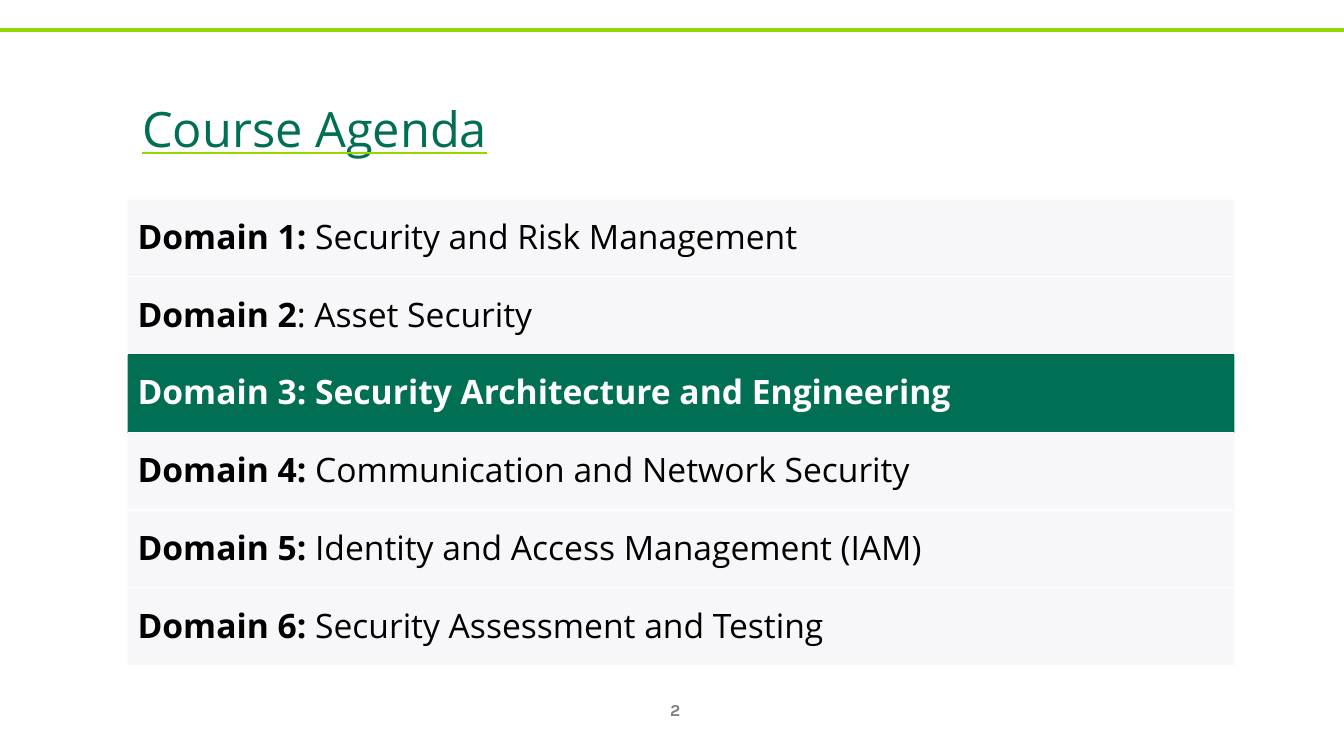
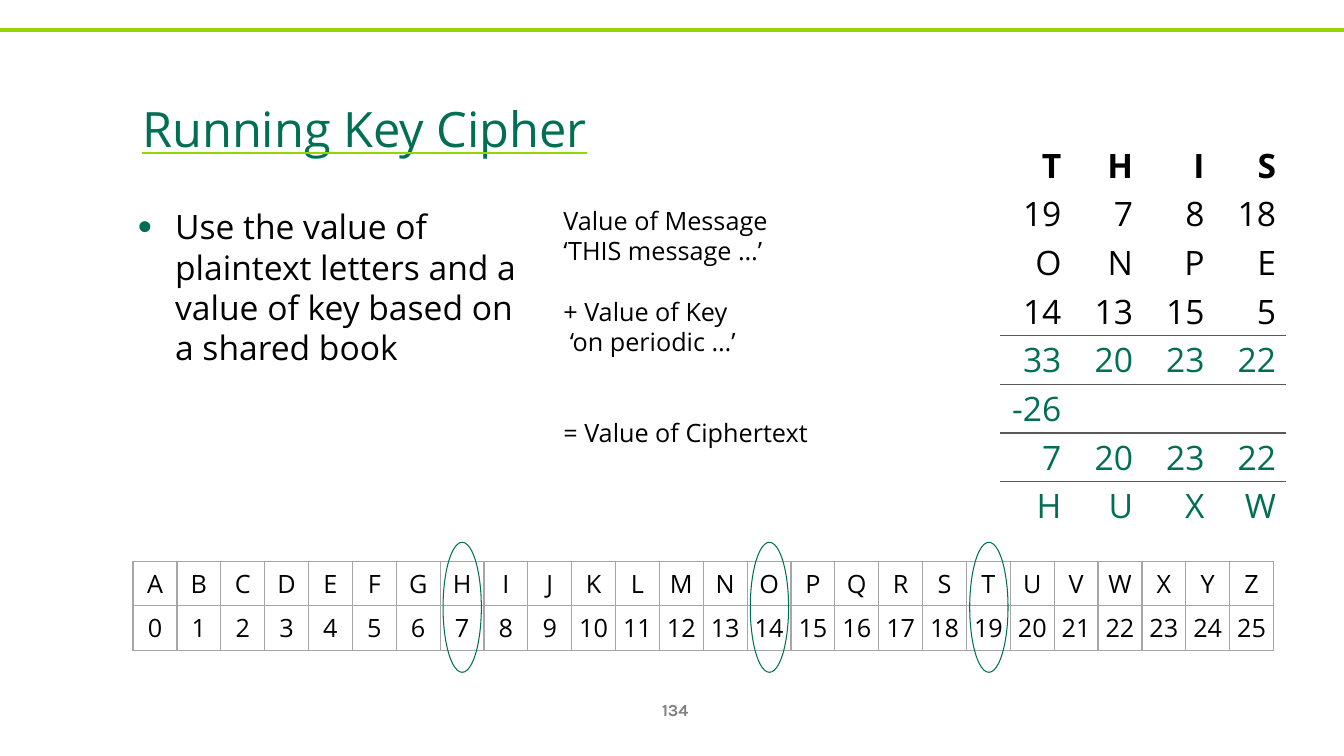
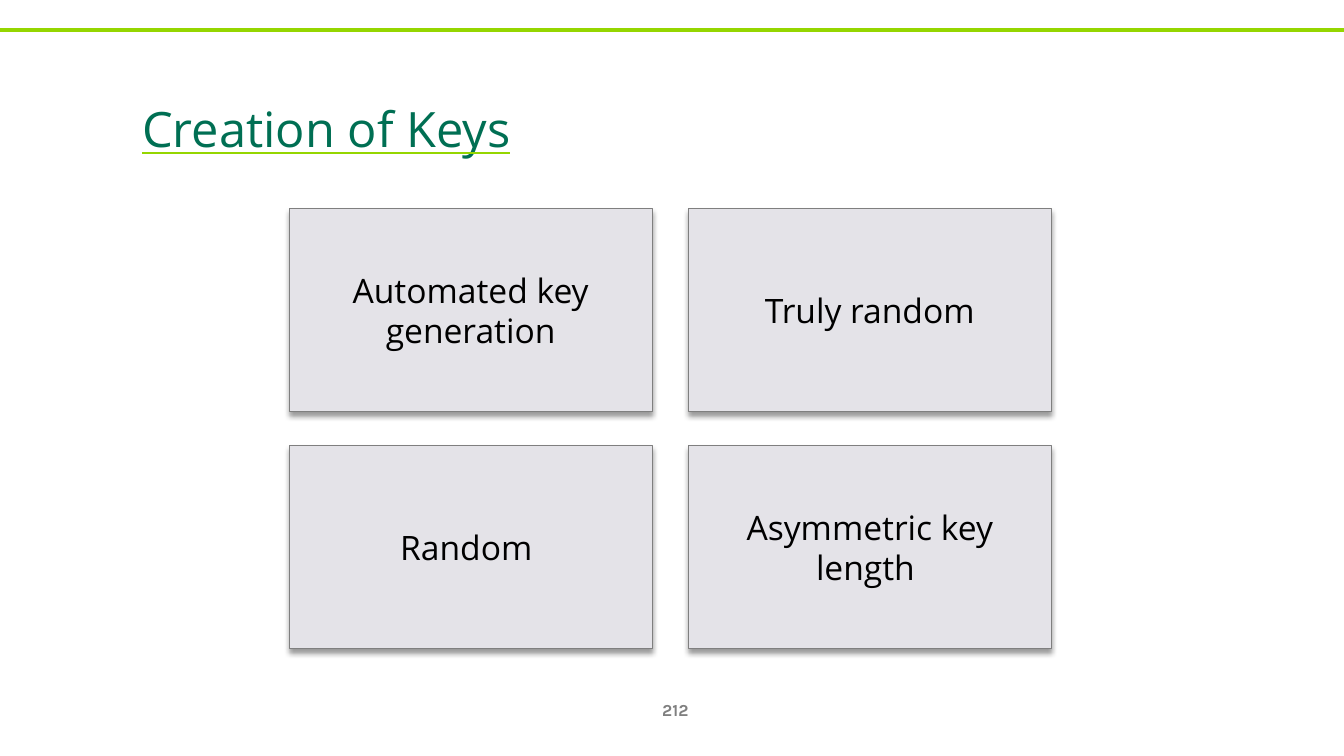
from dataclasses import dataclass
from typing import Any

from lxml import etree
from pptx import Presentation
from pptx.dml.color import RGBColor
from pptx.enum.shapes import MSO_CONNECTOR, MSO_SHAPE
from pptx.enum.text import MSO_ANCHOR, MSO_AUTO_SIZE, PP_ALIGN
from pptx.oxml.ns import qn
from pptx.util import Inches, Pt

STRAIGHT = MSO_CONNECTOR.STRAIGHT
RECTANGLE, OVAL = MSO_SHAPE.RECTANGLE, MSO_SHAPE.OVAL
TOP, MIDDLE = MSO_ANCHOR.TOP, MSO_ANCHOR.MIDDLE
LEFT, CENTER, RIGHT = PP_ALIGN.LEFT, PP_ALIGN.CENTER, PP_ALIGN.RIGHT
NO_AUTOFIT = MSO_AUTO_SIZE.NONE

# Shared style
SLIDE_WIDTH, SLIDE_HEIGHT = Inches(13.33), Inches(7.5)
COLORS = {
    "black": "000000", "white": "FFFFFF", "green": "006F53",
    "dark green": "00654B", "lime": "95D600", "page": "808080",
    "row": "F7F7F9", "card": "E4E3E8", "card line": "7F7F7F",
    "sum line": "595959", "grid line": "A6A6A6",
}
BODY_FONT, PAGE_FONT = "Open Sans", "Karla"
LINE_PITCH = 1.2
TITLE_LAYOUT, BODY_LAYOUT = 5, 1


@dataclass(frozen=True)
class Area:
    """A rectangle in percent of the slide's width and height."""
    left: float
    top: float
    width: float
    height: float

    def lengths(self) -> tuple[int, int, int, int]:
        return (across(self.left), down(self.top),
                across(self.width), down(self.height))

    def cell(self, column: int, row: int, column_pitch: float,
             row_pitch: float) -> "Area":
        return Area(self.left + column * column_pitch,
                    self.top + row * row_pitch, self.width, self.height)


@dataclass(frozen=True)
class Style:
    size: float = 24
    color: str = "black"
    bold: bool = False
    name: str = BODY_FONT


@dataclass(frozen=True)
class Domain:
    label: str
    subject: str
    current: bool = False


@dataclass(frozen=True)
class TableFormat:
    size: float
    alignment: Any
    margin_x: float
    margin_y: float


# Places
TITLE_AREA = Area(9.83, 8.13, 82, 16.67)
PAGE_AREA = Area(47.92, 91.2, 4.65, 5.33)
TOP_LINE = 4
AGENDA_ROW = Area(9.5, 26.4, 82.35, 10.29)
BODY_AREA = Area(9.5, 26.6, 30.1, 26)
STEPS_AREA = Area(41.18, 26.5, 34, 38.67)
SUM_AREA = Area(74.4, 18.67, 21.3, 51.5)
ALPHABET_AREA = Area(9.9, 74.27, 84.9, 11.75)
MARK_WIDTH, MARK_TOP, MARK_HEIGHT = 2.85, 71.73, 17.2
CARD = Area(21.52, 27.6, 27, 26.8)
CARD_PITCH = (29.7, 31.35)

# Content
DOMAINS = [
    Domain("Domain 1: ", "Security and Risk Management"),
    Domain("Domain 2", ": Asset Security"),
    Domain("Domain 3: ", "Security Architecture and Engineering", True),
    Domain("Domain 4: ", "Communication and Network Security"),
    Domain("Domain 5: ", "Identity and Access Management (IAM)"),
    Domain("Domain 6: ", "Security Assessment and Testing"),
]
# Each step with the number of empty lines above it
STEPS = [
    ("Value of Message", 0), ("‘THIS message …’", 0),
    ("+ Value of Key", 1), (" ‘on periodic …’", 0),
    ("= Value of Ciphertext", 2),
]
SUM_ROWS = [
    ["T", "H", "I", "S"],
    ["19", "7", "8", "18"],
    ["O", "N", "P", "E"],
    ["14", "13", "15", "5"],
    ["33", "20", "23", "22"],
    ["-26", "", "", ""],
    ["7", "20", "23", "22"],
    ["H", "U", "X", "W"],
]
FIRST_RESULT_ROW = 4
RULED_ROWS = (3, 5)
ALPHABET = "ABCDEFGHIJKLMNOPQRSTUVWXYZ"
MARKED_LETTERS = "HOT"
CARDS = ["Automated key generation", "Truly random",
         "Random ", "Asymmetric key length "]


# Helpers
def across(percent: float) -> int:
    return round(SLIDE_WIDTH * percent / 100)


def down(percent: float) -> int:
    return round(SLIDE_HEIGHT * percent / 100)


def rgb(color: str) -> RGBColor:
    return RGBColor.from_string(COLORS[color])


def set_all(target: Any, values: dict[str, Any]) -> None:
    for name, value in values.items():
        setattr(target, name, value)


def add_element(parent: Any, tag: str, **attributes: Any) -> Any:
    element = etree.SubElement(parent, qn(tag))
    for name, value in attributes.items():
        element.set(name, str(value))
    return element


def add_fill(parent: Any, color: str) -> Any:
    fill = add_element(parent, "a:solidFill")
    return add_element(fill, "a:srgbClr", val=COLORS[color])


def add_run(paragraph: Any, text: str, style: Style) -> Any:
    run = paragraph.add_run()
    run.text = text
    set_all(run.font, {"name": style.name, "size": Pt(style.size),
                       "bold": style.bold})
    run.font.color.rgb = rgb(style.color)
    return run


def format_frame(frame: Any, anchor: Any, margin_y: float = 0.05) -> None:
    set_all(frame, {
        "word_wrap": True, "auto_size": NO_AUTOFIT, "vertical_anchor": anchor,
        "margin_left": Inches(0.1), "margin_right": Inches(0.1),
        "margin_top": Inches(margin_y), "margin_bottom": Inches(margin_y),
    })


def place(shape: Any, area: Area) -> None:
    names = ("left", "top", "width", "height")
    set_all(shape, dict(zip(names, area.lengths())))


def add_line(slide: Any, left: float, top: float, width: float,
             color: str, weight: float) -> None:
    line = slide.shapes.add_connector(
        STRAIGHT, across(left), down(top), across(left + width), down(top))
    line.line.color.rgb = rgb(color)
    line.line.width = Pt(weight)
    add_element(line._element.spPr, "a:effectLst")


def add_panel(slide: Any, kind: Any, area: Area, fill: str | None = None,
              line: str | None = None) -> Any:
    shape = slide.shapes.add_shape(kind, *area.lengths())
    if fill:
        shape.fill.solid()
        shape.fill.fore_color.rgb = rgb(fill)
    else:
        shape.fill.background()
    if line:
        shape.line.color.rgb = rgb(line)
        shape.line.width = Pt(0.75)
    else:
        shape.line.fill.background()
    shape.shadow.inherit = False
    return shape


def add_shadow(shape: Any) -> None:
    effects = shape._element.spPr.find(qn("a:effectLst"))
    shadow = add_element(effects, "a:outerShdw", blurRad=Pt(4), dist=Pt(3),
                         dir=90 * 60000, algn="ctr", rotWithShape=0)
    color = add_element(shadow, "a:srgbClr", val=COLORS["black"])
    add_element(color, "a:alpha", val=40000)


def add_bullet(paragraph: Any) -> None:
    properties = paragraph._p.get_or_add_pPr()
    properties.set("marL", str(Inches(0.37)))
    properties.set("indent", str(-Inches(0.37)))
    color = add_element(properties, "a:buClr")
    add_element(color, "a:srgbClr", val=COLORS["green"])
    add_element(properties, "a:buSzPct", val=120000)
    add_element(properties, "a:buFont", typeface="Arial")
    add_element(properties, "a:buChar", char="•")


def add_border(cell: Any, tag: str, color: str) -> None:
    border = add_element(cell._tc.get_or_add_tcPr(), tag, w=Pt(1))
    add_fill(border, color)


def add_plain_table(slide: Any, area: Area, rows: list[list[str]],
                    layout: TableFormat) -> Any:
    frame = slide.shapes.add_table(len(rows), len(rows[0]), *area.lengths())
    table = frame.table
    set_all(table, {"first_row": False, "horz_banding": False})
    style_id = table._tbl.tblPr.find(qn("a:tableStyleId"))
    style_id.text = "{2D5ABB26-0587-4C30-8999-92F81FD0307C}"
    for column in table.columns:
        column.width = across(area.width / len(rows[0]))
    for row in table.rows:
        row.height = down(area.height / len(rows))
    for cell in table.iter_cells():
        set_all(cell, {
            "margin_left": Inches(layout.margin_x),
            "margin_right": Inches(layout.margin_x),
            "margin_top": Inches(layout.margin_y),
            "margin_bottom": Inches(layout.margin_y),
        })
    return table


def fill_cell(cell: Any, text: str, layout: TableFormat, style: Style) -> None:
    cell.fill.background()
    paragraph = cell.text_frame.paragraphs[0]
    paragraph.alignment = layout.alignment
    if text:
        add_run(paragraph, text, style)


def start_slide(presentation: Any, layout: int, title: str, page: int) -> Any:
    slide = presentation.slides.add_slide(presentation.slide_layouts[layout])
    add_line(slide, 0, TOP_LINE, 100, "lime", 3)

    # Raised title with a lime underline
    heading = slide.shapes.title
    place(heading, TITLE_AREA)
    format_frame(heading.text_frame, MIDDLE)
    paragraph = heading.text_frame.paragraphs[0]
    paragraph.alignment = LEFT
    run = add_run(paragraph, title, Style(60, "green"))
    run.font.underline = True
    properties = run.font._element
    properties.set("baseline", "12000")
    underline = etree.Element(qn("a:uFill"))
    add_fill(underline, "lime")
    properties.find(qn("a:latin")).addprevious(underline)

    # Page number
    number = slide.shapes.add_textbox(*PAGE_AREA.lengths())
    format_frame(number.text_frame, MIDDLE)
    paragraph = number.text_frame.paragraphs[0]
    paragraph.alignment = CENTER
    add_run(paragraph, str(page), Style(12, "page", True, PAGE_FONT))
    return slide


# Slides
def build_agenda(presentation: Any) -> None:
    slide = start_slide(presentation, TITLE_LAYOUT, "Course Agenda", 2)
    for index, domain in enumerate(DOMAINS):
        area = AGENDA_ROW.cell(0, index, 0, AGENDA_ROW.height)
        add_line(slide, area.left, area.top, area.width,
                 "dark green" if domain.current else "white", 2)
        row = add_panel(slide, RECTANGLE, area,
                        "green" if domain.current else "row")
        format_frame(row.text_frame, MIDDLE, 0.1)
        paragraph = row.text_frame.paragraphs[0]
        set_all(paragraph, {"alignment": LEFT, "line_spacing": 0.9})
        color = "white" if domain.current else "black"
        add_run(paragraph, domain.label, Style(color=color, bold=True))
        add_run(paragraph, domain.subject,
                Style(color=color, bold=domain.current))
    bottom = AGENDA_ROW.top + len(DOMAINS) * AGENDA_ROW.height
    add_line(slide, AGENDA_ROW.left, bottom, AGENDA_ROW.width, "white", 2)


def build_cipher(presentation: Any) -> None:
    slide = start_slide(presentation, BODY_LAYOUT, "Running Key Cipher", 134)

    # Bullet list
    body = slide.placeholders[1]
    place(body, BODY_AREA)
    format_frame(body.text_frame, TOP)
    paragraph = body.text_frame.paragraphs[0]
    add_bullet(paragraph)
    set_all(paragraph, {"line_spacing": Pt(24 * LINE_PITCH),
                        "space_before": Pt(0)})
    add_run(paragraph, "Use the value of plaintext letters and a value of "
                       "key based on a shared book", Style())

    # Steps of the sum
    steps = slide.shapes.add_textbox(*STEPS_AREA.lengths())
    format_frame(steps.text_frame, TOP)
    pitch = 18 * LINE_PITCH
    for index, (text, gap) in enumerate(STEPS):
        frame = steps.text_frame
        paragraph = frame.add_paragraph() if index else frame.paragraphs[0]
        set_all(paragraph, {"line_spacing": Pt(pitch),
                            "space_before": Pt(gap * pitch)})
        add_run(paragraph, text, Style(18))

    # Worked sum
    layout = TableFormat(24, RIGHT, 0.1, 0.01)
    table = add_plain_table(slide, SUM_AREA, SUM_ROWS, layout)
    for row, texts in enumerate(SUM_ROWS):
        style = Style(layout.size,
                      "green" if row >= FIRST_RESULT_ROW else "black",
                      row == 0)
        for column, text in enumerate(texts):
            cell = table.cell(row, column)
            if row - 1 in RULED_ROWS:
                add_border(cell, "a:lnT", "sum line")
            if row in RULED_ROWS:
                add_border(cell, "a:lnB", "sum line")
            fill_cell(cell, text, layout, style)

    # Alphabet with its values
    layout = TableFormat(18, CENTER, 0, 0.05)
    rows = [list(ALPHABET), [str(value) for value in range(len(ALPHABET))]]
    table = add_plain_table(slide, ALPHABET_AREA, rows, layout)
    for row, texts in enumerate(rows):
        for column, text in enumerate(texts):
            cell = table.cell(row, column)
            for tag in ("a:lnL", "a:lnR", "a:lnT", "a:lnB"):
                add_border(cell, tag, "grid line")
            fill_cell(cell, text, layout, Style(layout.size))

    # Marked letters
    column_width = ALPHABET_AREA.width / len(ALPHABET)
    for letter in MARKED_LETTERS:
        middle = (ALPHABET_AREA.left
                  + (ALPHABET.index(letter) + 0.5) * column_width)
        add_panel(slide, OVAL, Area(middle - MARK_WIDTH / 2, MARK_TOP,
                                    MARK_WIDTH, MARK_HEIGHT), line="green")


def build_keys(presentation: Any) -> None:
    slide = start_slide(presentation, TITLE_LAYOUT, "Creation of Keys", 212)
    for index, text in enumerate(CARDS):
        row, column = divmod(index, 2)
        card = add_panel(slide, RECTANGLE, CARD.cell(column, row, *CARD_PITCH),
                         "card", "card line")
        add_shadow(card)
        format_frame(card.text_frame, MIDDLE, 0.1)
        paragraph = card.text_frame.paragraphs[0]
        set_all(paragraph, {"alignment": CENTER,
                            "line_spacing": Pt(24 * LINE_PITCH)})
        add_run(paragraph, text, Style())


def main() -> None:
    presentation = Presentation()
    set_all(presentation, {"slide_width": SLIDE_WIDTH,
                           "slide_height": SLIDE_HEIGHT})
    for build in (build_agenda, build_cipher, build_keys):
        build(presentation)
    presentation.save("out.pptx")


if __name__ == "__main__":
    main()
